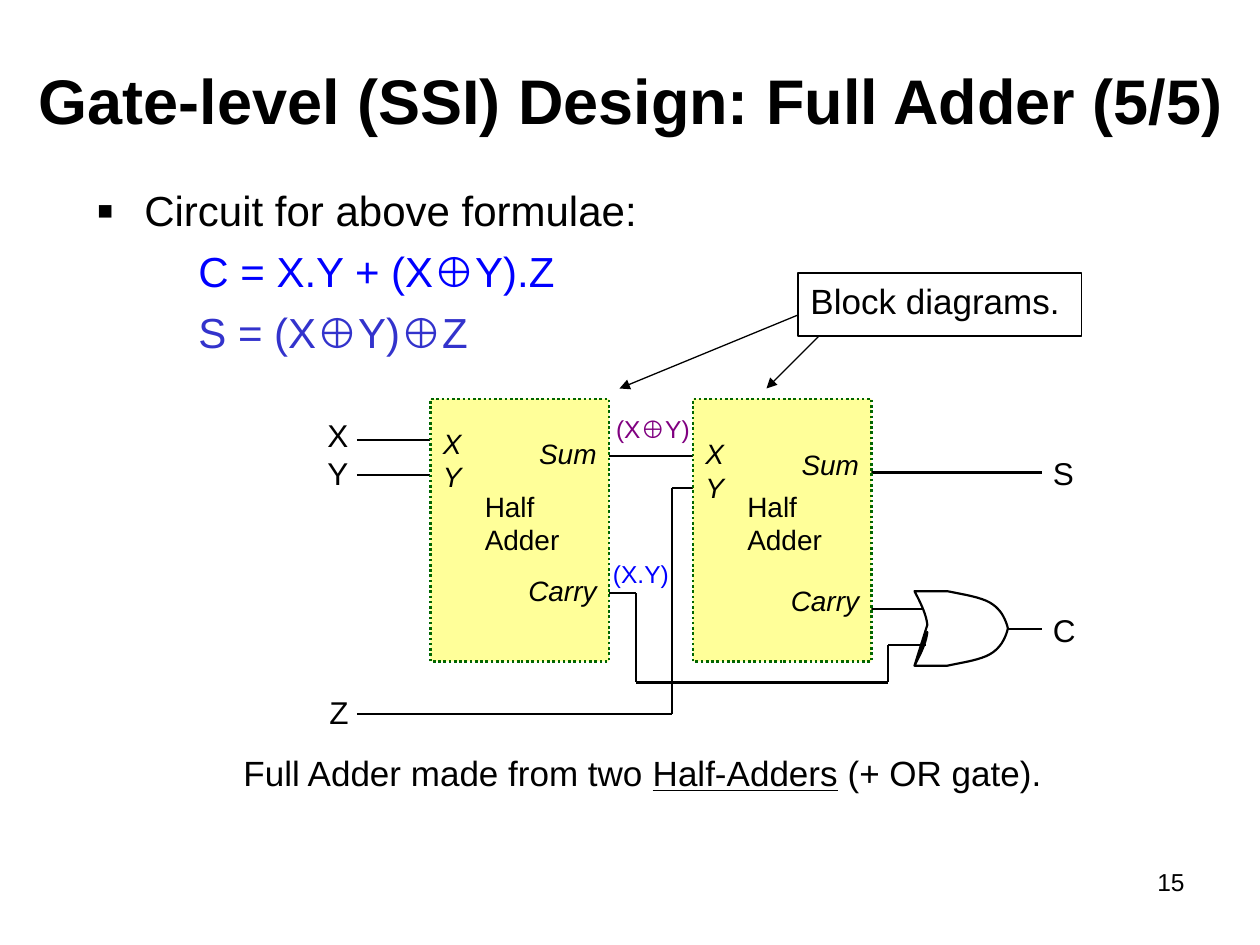
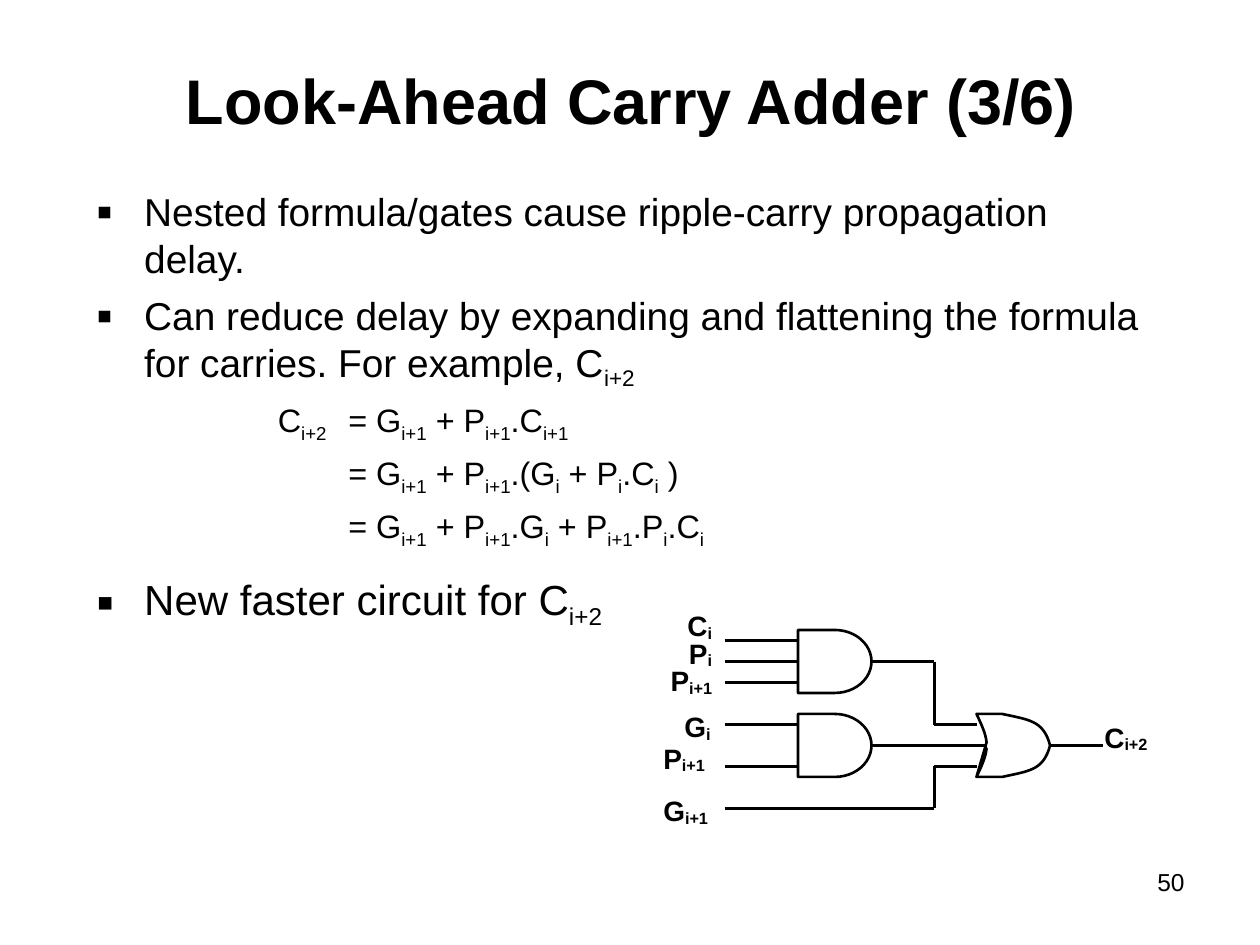
from dataclasses import dataclass
from itertools import pairwise

from lxml.etree import SubElement
from pptx import Presentation
from pptx.dml.color import RGBColor
from pptx.enum.dml import MSO_LINE
from pptx.enum.shapes import MSO_CONNECTOR, MSO_SHAPE
from pptx.enum.text import MSO_ANCHOR, PP_ALIGN
from pptx.oxml.ns import qn
from pptx.util import Inches, Pt

COLUMNS, ROWS = 120, 90
CELL = Inches(10) / COLUMNS


@dataclass(frozen=True)
class Theme:
    font: str = "Arial"
    ink: str = "000000"
    carry: str = "0000FF"
    total: str = "3333CC"
    partial: str = "800080"
    block: str = "FFFF99"
    block_edge: str = "006600"
    title_size: float = 36
    body_size: float = 24
    dense_size: float = 22.2
    formula_size: float = 18.5
    caption_size: float = 20
    signal_size: float = 18
    pin_size: float = 16
    note_size: float = 14
    thin: float = 0.75
    wire: float = 1.25
    edge: float = 1.5


THEME = Theme()
BULLETED = {"margin": 0.38, "hang": 0.38, "bullet": "▪", "space": 6}
SUBSCRIPT = {"baseline": "-25000"}
PIN_SUBSCRIPT = {"baseline": "-10000"}
UNDERLINED = {"u": "sng"}


def apply(target, **values):
    for name, value in values.items():
        setattr(target, name, value)


def rgb(colour):
    return RGBColor.from_string(colour)


def stroke(line, colour, width):
    line.color.rgb = rgb(colour)
    line.width = Pt(width)


def indent(paragraph, margin, hang, bullet):
    properties = paragraph._p.get_or_add_pPr()
    properties.set("marL", str(Inches(margin)))
    properties.set("indent", str(-Inches(hang)))
    if bullet:
        colour = SubElement(properties, qn("a:buClr"))
        SubElement(colour, qn("a:srgbClr"), val=THEME.ink)
        SubElement(properties, qn("a:buSzPct"), val="120000")
        SubElement(properties, qn("a:buFont"), typeface=THEME.font)
        SubElement(properties, qn("a:buChar"), char=bullet)


def write(paragraph, text, size, colour=THEME.ink, bold=False, italic=False,
          align=PP_ALIGN.LEFT, leading=None, space=0, margin=0, hang=0,
          bullet=None, marked=SUBSCRIPT):
    """Fill a paragraph; parts in [brackets] get the marked attributes."""
    indent(paragraph, margin, hang, bullet)
    apply(paragraph, alignment=align, line_spacing=leading, space_before=Pt(space))
    for index, part in enumerate(text.replace("[", "]").split("]")):
        if not part:
            continue
        run = paragraph.add_run()
        run.text = part
        apply(run.font, name=THEME.font, size=Pt(size), bold=bold, italic=italic)
        run.font.color.rgb = rgb(colour)
        if index % 2:
            for name, value in marked.items():
                run._r.get_or_add_rPr().set(name, value)


def cubic(start, first, second, end, steps=10):
    """Points along a Bezier curve, without its start."""
    for step in range(1, steps + 1):
        t = step / steps
        weights = ((1 - t) ** 3, 3 * t * (1 - t) ** 2, 3 * t * t * (1 - t), t ** 3)
        corners = (start, first, second, end)
        yield tuple(sum(w * c[axis] for w, c in zip(weights, corners))
                    for axis in (0, 1))


def or_outline():
    """Outline of an OR gate in shares of its box, clockwise."""
    def mirrored(points):
        return [(x, 1 - y) for x, y in reversed(points)]

    top = [(0, 0), (0.35, 0),
           *cubic((0.35, 0), (0.54, 0.05), (0.73, 0.08), (0.84, 0.18)),
           *cubic((0.84, 0.18), (0.94, 0.27), (0.98, 0.4), (1, 0.5))]
    back = [(0, 0), *cubic((0, 0), (0.07, 0.17), (0.14, 0.34), (0.14, 0.5))]
    return top + mirrored(top)[1:] + mirrored(back)[1:] + back[-2:0:-1]


@dataclass
class Region:
    """An area of a slide; its parts are placed in grid cells from its corner."""
    slide: object
    left: float = 0
    top: float = 0

    def region(self, left, top):
        return Region(self.slide, self.left + left, self.top + top)

    def point(self, x, y):
        return round((self.left + x) * CELL), round((self.top + y) * CELL)

    def box(self, x, y, width, height):
        return *self.point(x, y), round(width * CELL), round(height * CELL)

    def text(self, box, paragraphs, anchor=MSO_ANCHOR.TOP, **shared):
        frame = self.slide.shapes.add_textbox(*self.box(*box)).text_frame
        self.fill_frame(frame, paragraphs, anchor, **shared)

    def fill_frame(self, frame, paragraphs, anchor=MSO_ANCHOR.TOP, **shared):
        apply(frame, word_wrap=True, vertical_anchor=anchor)
        for index, (text, own) in enumerate(paragraphs):
            paragraph = frame.add_paragraph() if index else frame.paragraphs[0]
            style = {**shared, **own}
            if not index:
                style["space"] = 0
            write(paragraph, text, **style)

    def label(self, box, *lines, **style):
        self.text(box, [(line, {}) for line in lines], **style)

    def wire(self, *points, width=THEME.wire, arrow=False):
        for start, end in pairwise(points):
            connector = self.slide.shapes.add_connector(
                MSO_CONNECTOR.STRAIGHT, *self.point(*start), *self.point(*end))
            stroke(connector.line, THEME.ink, width)
            if arrow:
                SubElement(connector.line._get_or_add_ln(), qn("a:tailEnd"),
                           type="triangle")
            SubElement(connector._element.spPr, qn("a:effectLst"))

    def shape(self, kind, box, colour=THEME.ink, width=THEME.edge, fill=None):
        shape = self.slide.shapes.add_shape(kind, *self.box(*box))
        self.finish(shape, colour, width, fill)
        return shape

    def finish(self, shape, colour, width, fill=None):
        shape.shadow.inherit = False
        stroke(shape.line, colour, width)
        if fill:
            shape.fill.solid()
            shape.fill.fore_color.rgb = rgb(fill)
        else:
            shape.fill.background()

    def or_gate(self, x, y, width, height, line=THEME.edge):
        first, *rest = [self.point(x + u * width, y + v * height)
                        for u, v in or_outline()]
        outline = self.slide.shapes.build_freeform(*first)
        outline.add_line_segments(rest, close=True)
        self.finish(outline.convert_to_shape(), THEME.ink, line)


def new_slide(deck, title, number):
    page = Region(deck.slides.add_slide(deck.slide_layouts[6]))
    page.label((1.6, 2, 117, 15), title, size=THEME.title_size, bold=True,
               align=PP_ALIGN.CENTER, anchor=MSO_ANCHOR.MIDDLE)
    page.label((86, 82, 28, 6), str(number), size=THEME.note_size,
               align=PP_ALIGN.RIGHT)
    return page


def half_adder(block, drop):
    """One block of 17 by 25 cells; drop lowers its pins."""
    face = block.shape(MSO_SHAPE.RECTANGLE, (0, 0, 17, 25), THEME.block_edge,
                       THEME.edge, THEME.block)
    face.line.dash_style = MSO_LINE.ROUND_DOT
    block.label((4, 8, 11, 8), "Half", "Adder", size=THEME.pin_size)
    pin = {"size": THEME.pin_size, "italic": True}
    block.label((0, 2 + drop, 6, 8), "X", "Y", **pin)
    for name, row in (("Sum", 3), ("Carry", 16)):
        block.label((5, row + drop, 12, 4), name, align=PP_ALIGN.RIGHT, **pin)


def full_adder_circuit(circuit):
    for wire in (
        [(4, 3.9), (11, 3.9)],
        [(4, 7.25), (11, 7.25)],
        [(28, 5.45), (36, 5.45)],
        [(28, 18.5), (30.6, 18.5), (30.6, 27), (54.6, 27), (54.6, 23.4), (58.2, 23.4)],
        [(4, 30), (34, 30), (34, 8.5), (36, 8.5)],
        [(53, 7), (69.2, 7)],
        [(53, 20), (58, 20)],
        [(66, 21.9), (69.2, 21.9)],
    ):
        circuit.wire(*wire)
    circuit.or_gate(57.1, 18.3, 8.9, 7.1, THEME.wire)
    half_adder(circuit.region(11, 0), drop=0)
    half_adder(circuit.region(36, 0), drop=1)
    for x, y, *names in ((0, 1, "X", "Y"), (0.2, 27.4, "Z"),
                         (69.1, 4.6, "S"), (69.1, 19.6, "C")):
        circuit.label((x, y, 5, 4.5), *names, size=THEME.signal_size)
    for x, y, term, colour in ((27.5, 0.8, "(X⊕Y)", THEME.partial),
                               (27.2, 14.6, "(X.Y)", THEME.carry)):
        circuit.label((x, y, 11, 4.5), term, size=THEME.note_size, colour=colour)


def block_callout(callout):
    note = callout.shape(MSO_SHAPE.RECTANGLE, (17, 0, 27, 6), width=THEME.thin)
    callout.fill_frame(note.text_frame, [("Block diagrams.", {})],
                       size=THEME.caption_size)
    for start, end in (((17, 4), (0, 11)), ((19, 6), (14, 11))):
        callout.wire(start, end, width=THEME.thin, arrow=True)


def full_adder_slide(deck):
    page = new_slide(deck, "Gate-level (SSI) Design: Full Adder (5/5)", 15)
    formula = {"margin": 0.81, "space": 6}
    page.text((8, 17, 100, 18), [
        ("Circuit for above formulae:", BULLETED),
        ("C = X.Y + (X⊕Y).Z", {**formula, "colour": THEME.carry}),
        ("S = (X⊕Y)⊕Z", {**formula, "colour": THEME.total}),
    ], size=THEME.body_size)
    page.label((22, 71, 80, 7), "Full Adder made from two [Half-Adders] (+ OR gate).",
               size=THEME.caption_size, marked=UNDERLINED)
    full_adder_circuit(page.region(30, 38))
    block_callout(page.region(59, 26))


def carry_circuit(circuit):
    for top, inputs in ((2, (3, 5, 7)), (10, (11, 15))):
        circuit.shape(MSO_SHAPE.FLOWCHART_DELAY, (14, top, 7, 6))
        for row in inputs:
            circuit.wire((7, row), (14, row))
    circuit.or_gate(31, 10, 7, 6)
    circuit.wire((21, 5), (27, 5), (27, 11), (31, 11))
    circuit.wire((21, 13), (32, 13))
    circuit.wire((7, 19), (27, 19), (27, 15), (31, 15))
    circuit.wire((38, 13), (43, 13))
    pin = {"size": THEME.pin_size, "bold": True, "marked": PIN_SUBSCRIPT}
    circuit.label((0, 0, 7, 9), "C[i]", "P[i]", "P[i+1]", align=PP_ALIGN.RIGHT,
                  leading=0.8, **pin)
    for x, y, name in ((2, 9, "G[i]"), (0, 12, "P[i+1]"), (0, 17, "G[i+1]"),
                       (42, 10, "C[i+2]")):
        circuit.label((x, y, 8.2, 4), name, **pin)


def look_ahead_slide(deck):
    page = new_slide(deck, "Look-Ahead Carry Adder (3/6)", 50)
    step = {"size": THEME.formula_size, "margin": 2, "space": 5}
    page.text((8, 17.3, 102, 36), [
        ("Nested formula/gates cause ripple-carry propagation delay.", BULLETED),
        ("Can reduce delay by expanding and flattening the formula for carries. "
         "For example, C[i+2]", BULLETED),
        ("C[i+2]\t= G[i+1] + P[i+1].C[i+1]", {**step, "hang": 0.56}),
        ("= G[i+1] + P[i+1].(G[i] + P[i].C[i] )", step),
        ("= G[i+1] + P[i+1].G[i] + P[i+1].P[i].C[i]", step),
    ], size=THEME.dense_size)
    page.text((8, 54, 102, 9), [("New faster circuit for C[i+2]", BULLETED)],
              size=THEME.body_size)
    carry_circuit(page.region(62, 58))


def main():
    deck = Presentation()
    apply(deck, slide_width=round(COLUMNS * CELL), slide_height=round(ROWS * CELL))
    full_adder_slide(deck)
    look_ahead_slide(deck)
    deck.save("out.pptx")


if __name__ == "__main__":
    main()
